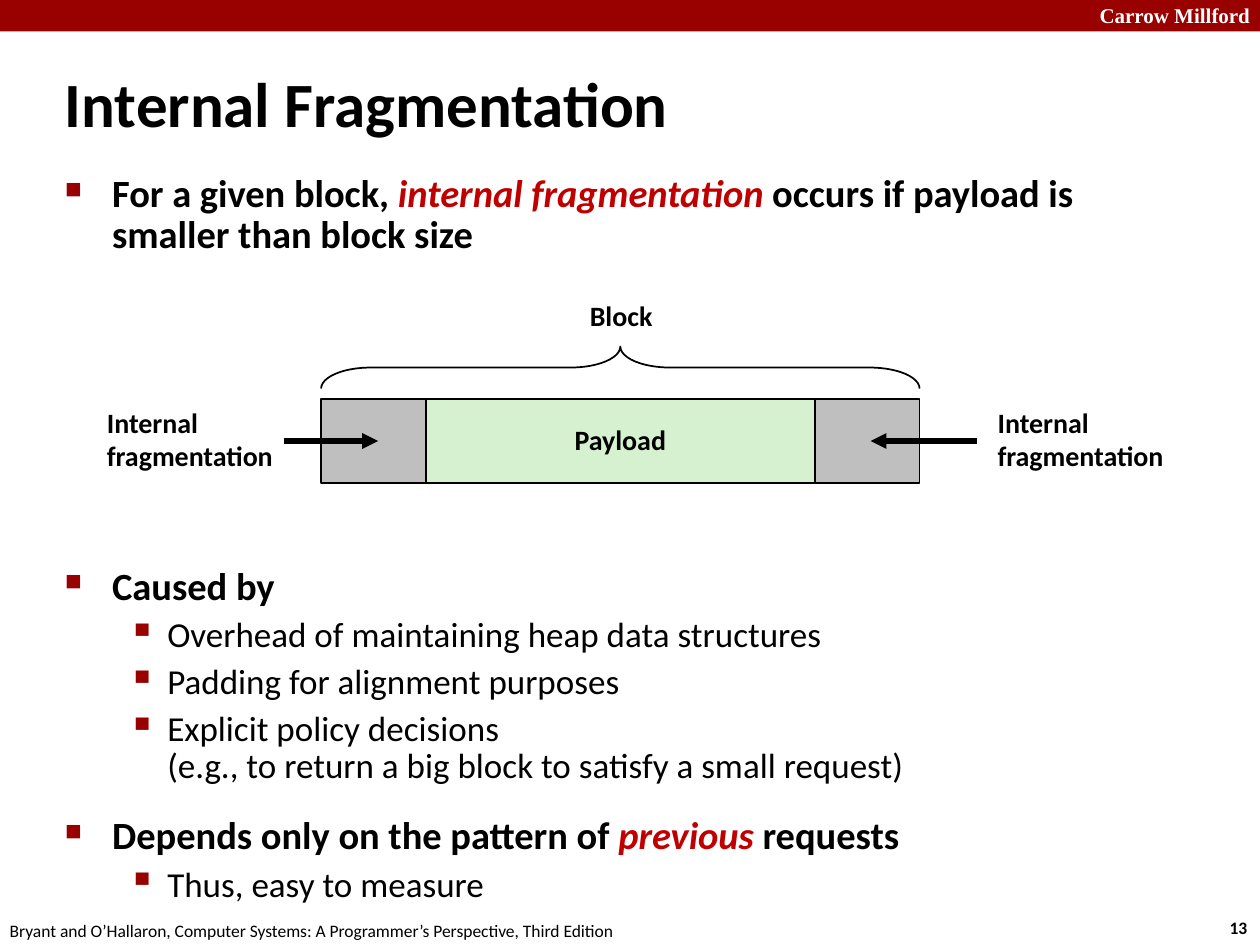
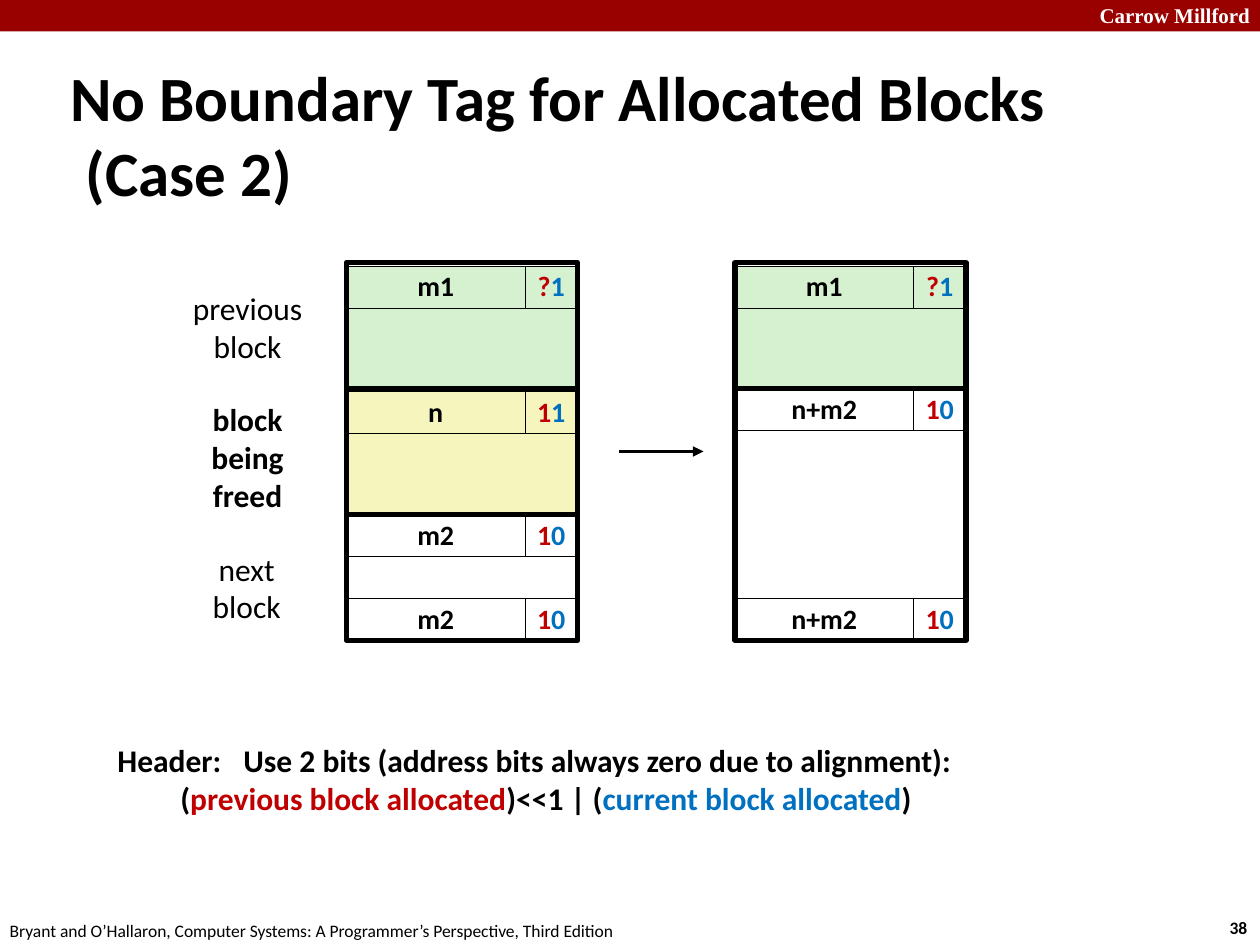
"""Builds two lecture slides on heap fragmentation and boundary tags."""
from lxml import etree
from pptx import Presentation
from pptx.dml.color import RGBColor
from pptx.enum.shapes import MSO_CONNECTOR, MSO_SHAPE
from pptx.enum.text import MSO_ANCHOR, PP_ALIGN
from pptx.oxml.ns import qn
from pptx.util import Pt

BAND = RGBColor(0x99, 0x00, 0x00)
BLACK = RGBColor(0x00, 0x00, 0x00)
WHITE = RGBColor(0xFF, 0xFF, 0xFF)
RED = RGBColor(0xC0, 0x00, 0x00)
BLUE = RGBColor(0x00, 0x70, 0xC0)
GREEN = RGBColor(0xD5, 0xF1, 0xCF)
YELLOW = RGBColor(0xF6, 0xF5, 0xBD)
GREY = RGBColor(0xBF, 0xBF, 0xBF)
LEFT, CENTER, RIGHT = PP_ALIGN.LEFT, PP_ALIGN.CENTER, PP_ALIGN.RIGHT
FOOTER = ("Bryant and O\u2019Hallaron, Computer Systems: "
          "A Programmer\u2019s Perspective, Third Edition")


def write(tf, paras, size, bold=True, align=LEFT, color=BLACK, spacing=1.0):
    for i, runs in enumerate(paras):
        p = tf.paragraphs[0] if i == 0 else tf.add_paragraph()
        p.alignment, p.line_spacing = align, spacing
        p.font.name, p.font.size, p.font.bold = "Calibri", Pt(size), bold
        for text, run_color in [(runs, color)] if isinstance(runs, str) else runs:
            r = p.add_run()
            r.text = text
            r.font.color.rgb = run_color


def rect(s, x, y, w, h, fill, line, kind=MSO_SHAPE.RECTANGLE):
    sp = s.shapes.add_shape(kind, Pt(x), Pt(y), Pt(w), Pt(h))
    sp.shadow.inherit = False
    if fill is None:
        sp.fill.background()
    else:
        sp.fill.solid()
        sp.fill.fore_color.rgb = fill
    if line:
        sp.line.color.rgb = BLACK
        sp.line.width = Pt(line)
    else:
        sp.line.fill.background()
    sp.text_frame.word_wrap = False
    sp.text_frame.vertical_anchor = MSO_ANCHOR.MIDDLE
    return sp


prs = Presentation()
prs.slide_width, prs.slide_height = Pt(720), Pt(540)

slides = []
for title, number, x, y, w in [
    ("Internal Fragmentation", "13", 30, 36, 530),
    ("No Boundary Tag for Allocated Blocks (Case 2)", "38", 33, 54, 654),
]:
    s = prs.slides.add_slide(prs.slide_layouts[6])
    slides.append(s)
    rect(s, 0, 0, 720, 18, BAND, 0)

    tf = s.shapes.add_textbox(Pt(600), Pt(-2), Pt(121.5), Pt(22)).text_frame
    tf.word_wrap = True
    write(tf, ["Carrow Millford"], 12, align=RIGHT, color=WHITE)
    tf.paragraphs[0].font.name = "Times New Roman"

    tf = s.shapes.add_textbox(Pt(x), Pt(y), Pt(w), Pt(45)).text_frame
    tf.word_wrap = True
    tf.vertical_anchor = MSO_ANCHOR.MIDDLE
    write(tf, [title], 36)
    pPr = tf.paragraphs[0]._p.get_or_add_pPr()
    pPr.set("marL", str(Pt(9)))
    pPr.set("indent", str(Pt(-9)))

    for text, bold, x, y, w in [(number, True, 695.5, 520.5, 27),
                                (FOOTER, False, -1.5, 522, 366)]:
        tf = s.shapes.add_textbox(Pt(x), Pt(y), Pt(w), Pt(19.5)).text_frame
        tf.word_wrap = False
        write(tf, [text], 10, bold)
frag, tags = slides

bullets = [
    (0, 5.6, [("For a given block, ", BLACK), ("internal fragmentation ", RED),
              ("occurs if payload is smaller than block size", BLACK)]),
    (0, 178, [("Caused by", BLACK)]),
    (1, 5.6, [("Overhead of maintaining heap data structures", BLACK)]),
    (1, 5.6, [("Padding for alignment purposes", BLACK)]),
    (1, 5.6, [("Explicit policy decisions", BLACK),
              ("(e.g., to return a big block to satisfy a small request)", BLACK)]),
    (0, 18, [("Depends only on the pattern of ", BLACK), ("previous", RED),
             (" requests", BLACK)]),
    (1, 5.6, [("Thus, easy to measure", BLACK)]),
]
levels = [(22, 27, -27, "\u25a0", 60000), (20, 58.5, -22.5, "\u25aa", 110000)]
tf = frag.shapes.add_textbox(Pt(30), Pt(96.5), Pt(654.5), Pt(425.5)).text_frame
tf.word_wrap = True
for i, (level, before, runs) in enumerate(bullets):
    size, margin, indent, char, scale = levels[level]
    p = tf.paragraphs[0] if i == 0 else tf.add_paragraph()
    p.level, p.line_spacing, p.space_before = level, 0.88, Pt(before)
    p.font.name, p.font.size, p.font.bold = "Calibri", Pt(size), level == 0
    for text, color in runs:
        if text.startswith("(e.g."):
            p.add_line_break()
        r = p.add_run()
        r.text = text
        r.font.color.rgb = color
        r.font.italic = color == RED
    pPr = p._p.get_or_add_pPr()
    pPr.set("marL", str(Pt(margin)))
    pPr.set("indent", str(Pt(indent)))
    marks = [etree.Element(qn(tag)) for tag in ("a:buClr", "a:buSzPct", "a:buChar")]
    etree.SubElement(marks[0], qn("a:srgbClr")).set("val", str(BAND))
    marks[1].set("val", str(scale))
    marks[2].set("char", char)
    at = list(pPr).index(pPr.find(qn("a:defRPr")))
    pPr[at:at] = marks

for x, w, fill, text in [(243.5, 222, GREEN, "Payload"), (465.5, 60, GREY, ""),
                         (183.5, 60, GREY, "")]:
    sp = rect(frag, x, 228, w, 48, fill, 1)
    if text:
        write(sp.text_frame, [text], 16, align=CENTER, spacing=0.98)
brace = rect(frag, 342.5, 39, 24, 342, None, 1, MSO_SHAPE.RIGHT_BRACE)
brace.rotation = 270
brace.adjustments[0] = 1.188

LEFT_X, RIGHT_X, SIZE_W, BITS_W, ROW = 198, 420, 102, 30, 24
BLOCK_W = SIZE_W + BITS_W
for x, y, h, fill in [
    (LEFT_X, 176, 48, GREEN), (LEFT_X, 245, 48, YELLOW), (LEFT_X, 318, ROW, WHITE),
    (RIGHT_X, 175, 48, GREEN), (RIGHT_X, 246, 96, WHITE),
]:
    rect(tags, x, y, BLOCK_W, h, fill, 0.25)
for x, y, fill, size, bits in [
    (LEFT_X, 152, GREEN, "m1", "?1"), (LEFT_X, 223.5, YELLOW, "n", "11"),
    (LEFT_X, 294, WHITE, "m2", "10"), (LEFT_X, 342, WHITE, "m2", "10"),
    (RIGHT_X, 152, GREEN, "m1", "?1"), (RIGHT_X, 222, WHITE, "n+m2", "10"),
    (RIGHT_X, 342, WHITE, "n+m2", "10"),
]:
    sp = rect(tags, x, y, SIZE_W, ROW, fill, 0.25)
    write(sp.text_frame, [size], 16, align=CENTER, spacing=0.98)
    sp = rect(tags, x + SIZE_W, y, BITS_W, ROW, fill, 0.25)
    write(sp.text_frame, [[(bits[0], RED), (bits[1], BLUE)]], 16,
          align=CENTER, spacing=0.98)
for x, y, h in [(LEFT_X, 150, 72), (LEFT_X, 222, 72), (LEFT_X, 294, 72),
                (RIGHT_X, 150, 72), (RIGHT_X, 222, 144)]:
    rect(tags, x, y, BLOCK_W, h, None, 3)

header = [
    "Header: \tUse 2 bits (address bits always zero due to alignment):",
    [("\t(", BLACK), ("previous block allocated", RED), (")<<1 | (", BLACK),
     ("current block allocated", BLUE), (")", BLACK)],
]
internal = ["Internal", "fragmentation"]
for s, x, y, w, h, paras, size, bold, align, spacing in [
    (frag, 330, 168, 50, 26.5, ["Block"], 16, True, LEFT, 0.98),
    (frag, 54, 229, 110, 45.5, internal, 16, True, LEFT, 0.98),
    (frag, 563, 229, 110, 45.5, internal, 16, True, LEFT, 0.98),
    (tags, 102, 161.5, 79, 51, ["previous", "block"], 18, False, CENTER, 1.0),
    (tags, 113.5, 225, 56, 73, ["block", "being", "freed"], 18, True, CENTER, 1.0),
    (tags, 113.5, 310.5, 55, 51, ["next", "block"], 18, False, CENTER, 1.0),
    (tags, 60, 420, 508, 51, header, 18, True, LEFT, 1.0),
]:
    tf = s.shapes.add_textbox(Pt(x), Pt(y), Pt(w), Pt(h)).text_frame
    tf.word_wrap = False
    write(tf, paras, size, bold, align, spacing=spacing)

for s, x1, x2, y, width in [(frag, 162, 216, 252, 3), (frag, 558, 497.5, 252, 3),
                            (tags, 354, 402, 258, 2)]:
    c = s.shapes.add_connector(MSO_CONNECTOR.STRAIGHT, Pt(x1), Pt(y), Pt(x2), Pt(y))
    c.line.color.rgb = BLACK
    c.line.width = Pt(width)
    etree.SubElement(c.line._get_or_add_ln(), qn("a:tailEnd")).set("type", "triangle")
    etree.SubElement(c._element.spPr, qn("a:effectLst"))

prs.save("out.pptx")
